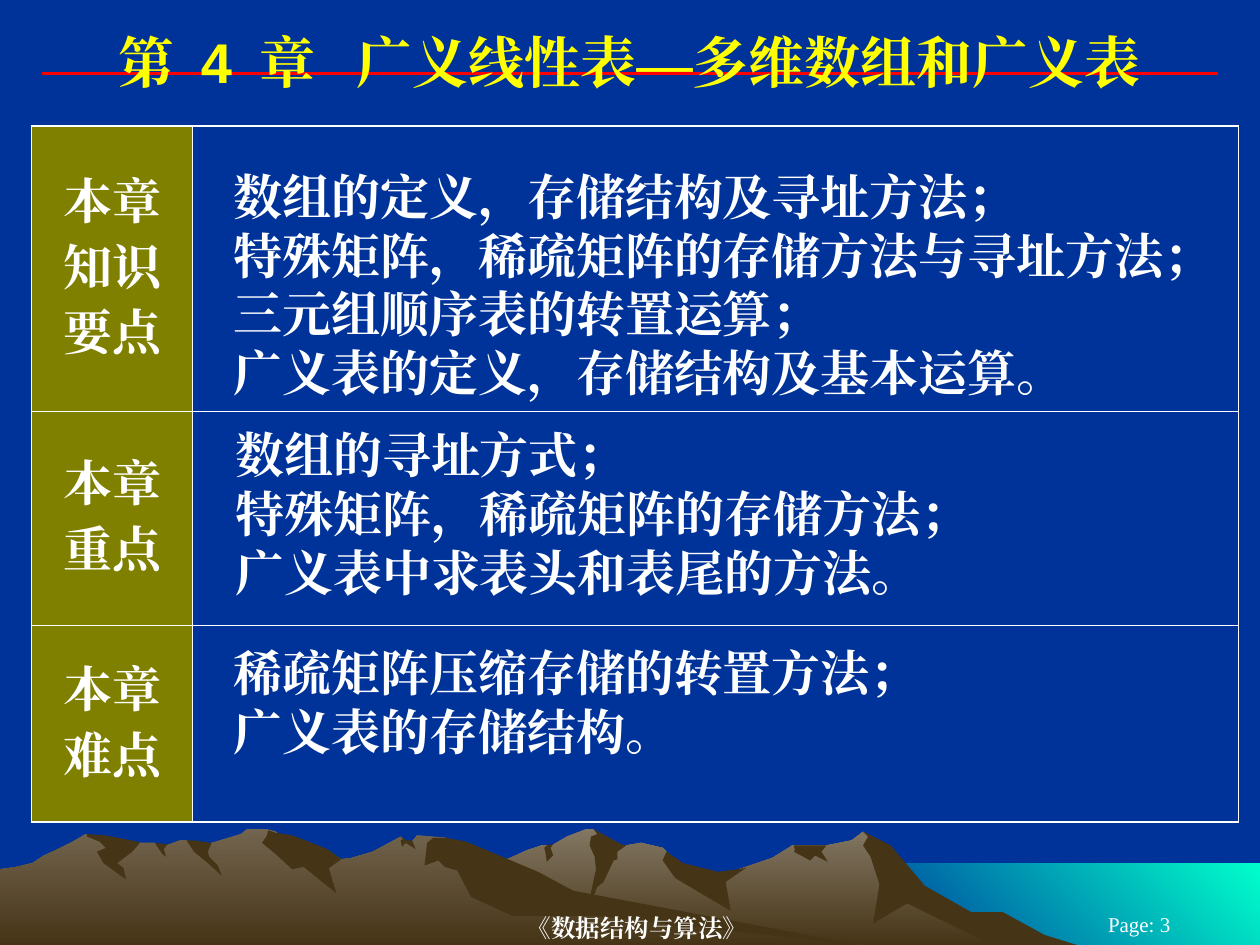
from lxml.etree import SubElement
from pptx import Presentation
from pptx.dml.color import RGBColor
from pptx.enum.shapes import MSO_CONNECTOR
from pptx.enum.text import MSO_ANCHOR, MSO_AUTO_SIZE, PP_ALIGN
from pptx.oxml.ns import qn
from pptx.util import Pt

NAVY = RGBColor(0x00, 0x33, 0x99)
AQUA = RGBColor(0x00, 0xFF, 0xCC)
OLIVE = RGBColor(0x80, 0x80, 0x00)
WHITE = RGBColor(0xFF, 0xFF, 0xFF)
YELLOW = RGBColor(0xFF, 0xFF, 0x00)
RED = RGBColor(0xFF, 0x00, 0x00)
DARK_ROCK = RGBColor(0x46, 0x34, 0x16)
LIGHT_ROCK = RGBColor(0x83, 0x77, 0x63)
MID_ROCK = RGBColor(0x72, 0x64, 0x4E)

# Outline points are in hundredths of an inch
OUTLINE_UNIT = Pt(0.72)
SEA = [(1000, 752), (683, 752), (683, 685), (1000, 685)]
RIGHT_RANGE = [
    (802, 740), (778, 727), (764, 723), (723, 698), (702, 671), (685, 660),
    (676, 667), (656, 671), (629, 671), (613, 681), (566, 697), (536, 690),
    (529, 676), (526, 673), (509, 669), (497, 671), (486, 673), (474, 661),
    (471, 658), (465, 658), (450, 664), (438, 671), (430, 671), (418, 675),
    (405, 681), (394, 685), (355, 698), (327, 709), (277, 739), (258, 751),
    (821, 751)]
LEFT_RANGE = [
    (690, 751), (667, 748), (432, 712), (354, 665), (331, 663), (327, 668),
    (323, 668), (318, 664), (296, 676), (279, 681), (271, 682), (260, 676),
    (236, 681), (223, 663), (219, 660), (212, 658), (196, 658), (191, 662),
    (178, 666), (168, 669), (160, 671), (148, 667), (143, 667), (132, 671),
    (128, 671), (123, 669), (111, 669), (94, 671), (68, 662), (56, 669),
    (46, 674), (35, 679), (26, 685), (14, 688), (0, 690), (0, 751)]
RIGHT_SHADOWS = [
    [(796, 724), (771, 724), (734, 703), (707, 671), (685, 660), (689, 664),
     (685, 671), (691, 680), (698, 702), (693, 733), (720, 717), (792, 752),
     (858, 751), (829, 742)],
    [(471, 658), (474, 662), (469, 664), (468, 671), (472, 680), (473, 690),
     (465, 727), (474, 704), (479, 700), (487, 683), (490, 682), (490, 676),
     (497, 671), (493, 670)],
    [(529, 676), (526, 683), (536, 697), (580, 723), (576, 700), (592, 689),
     (570, 692), (542, 685)],
    [(650, 671), (630, 671), (631, 675), (630, 676), (643, 683), (647, 679),
     (657, 684), (652, 676), (656, 671)],
    [(433, 677), (432, 673), (434, 671), (439, 670), (437, 673), (439, 679),
     (434, 684)],
]
LEFT_SHADOWS = [
    [(212, 663), (208, 669), (219, 678), (232, 690), (241, 688), (267, 709),
     (261, 689), (271, 682), (260, 674), (245, 668), (232, 663), (219, 661),
     (213, 659)],
    [(370, 668), (354, 665), (344, 665), (339, 669), (337, 687), (348, 683),
     (353, 688), (363, 691), (374, 712), (407, 727), (472, 727), (690, 751),
     (683, 750), (455, 707), (427, 692), (401, 681)],
    [(318, 667), (320, 666), (318, 664), (323, 667), (327, 667), (330, 674),
     (322, 669), (319, 672)],
    [(154, 667), (161, 668), (168, 669), (165, 676), (166, 680), (173, 687),
     (176, 695), (165, 685), (154, 676), (148, 667)],
    [(133, 670), (130, 674), (132, 680), (129, 678), (123, 669)],
    [(109, 668), (111, 669), (105, 676), (93, 685), (98, 689), (100, 698),
     (82, 685), (77, 676), (84, 673), (79, 668), (69, 664), (69, 662),
     (83, 663), (94, 665)],
]

# Title words, each with the extra width in points of the space after it
TITLE = [("第", 7), ("4", 7), ("章", 15), ("广义线性表—多维数组和广义表", 0)]
LABELS = [["本章", "知识", "要点"], ["本章", "重点"], ["本章", "难点"]]
BODIES = [
    (132, 94.3, 564, 136, [
        "数组的定义，存储结构及寻址方法；",
        "特殊矩阵，稀疏矩阵的存储方法与寻址方法；",
        "三元组顺序表的转置运算；",
        "广义表的定义，存储结构及基本运算。"]),
    (133, 242, 544, 102, [
        "数组的寻址方式；",
        "特殊矩阵，稀疏矩阵的存储方法；",
        "广义表中求表头和表尾的方法。"]),
    (132, 366.5, 558, 69, [
        "稀疏矩阵压缩存储的转置方法；",
        "广义表的存储结构。"]),
]


def add_outline(slide, points, start_color, end_color=None, angle=270):
    builder = slide.shapes.build_freeform(*points[0], scale=OUTLINE_UNIT)
    builder.add_line_segments(points[1:], close=True)
    shape = builder.convert_to_shape()
    shape.shadow.inherit = False
    shape.line.fill.background()
    if end_color is None:
        shape.fill.solid()
        shape.fill.fore_color.rgb = start_color
        return
    shape.fill.gradient()
    shape.fill.gradient_angle = angle
    for stop, color, position in zip(shape.fill.gradient_stops,
                                     (start_color, end_color), (0, 1)):
        stop.color.rgb = color
        stop.position = position


def style(paragraph, size, color=WHITE, name="Arial", bold=True, align=None):
    paragraph.alignment = align
    font = paragraph.font
    font.size, font.name, font.bold = Pt(size), name, bold
    font.color.rgb = color
    for run in paragraph.runs:
        SubElement(run.font._element, qn("a:ea"), typeface="Times New Roman")


def add_text(slide, left, top, width, height, lines, size,
             anchor=MSO_ANCHOR.TOP, **look):
    box = slide.shapes.add_textbox(Pt(left), Pt(top), Pt(width), Pt(height))
    frame = box.text_frame
    frame.word_wrap = True
    frame.auto_size = MSO_AUTO_SIZE.NONE
    frame.vertical_anchor = anchor
    frame.margin_left = frame.margin_right = Pt(1.5)
    frame.margin_top = frame.margin_bottom = Pt(0.7)
    frame.text = "\n".join(lines)
    for paragraph in frame.paragraphs:
        style(paragraph, size, **look)
    return frame


def add_title(slide):
    frame = add_text(slide, 0, 15, 720, 40, [""], 32)
    paragraph = frame.paragraphs[0]
    for word, gap in TITLE:
        paragraph.add_run().text = word
        if gap:
            space = paragraph.add_run()
            space.text = " "
            space.font._element.set("spc", str(gap * 100))
    style(paragraph, 32, YELLOW, align=PP_ALIGN.CENTER)


def set_border(cell, side, width):
    properties = cell._tc.get_or_add_tcPr()
    line = SubElement(properties, qn(f"a:ln{side}"), w=str(Pt(width)))
    fill = SubElement(line, qn("a:solidFill"))
    SubElement(fill, qn("a:srgbClr"), val=str(WHITE))


def add_summary_table(slide):
    widths, heights = (92.2, 597.6), (162.8, 122.4, 112.6)
    table = slide.shapes.add_table(3, 2, Pt(18), Pt(72), Pt(sum(widths)),
                                   Pt(sum(heights))).table
    table.first_row = table.horz_banding = False
    for column, width in zip(table.columns, widths):
        column.width = Pt(width)
    for i, (row, height) in enumerate(zip(table.rows, heights)):
        row.height = Pt(height)
        for j, cell in enumerate(row.cells):
            outer = {"L": j == 0, "R": j == 1, "T": i == 0, "B": i == 2}
            for side, is_outer in outer.items():
                set_border(cell, side, 1.08 if is_outer else 0.45)
            cell.fill.background()
        label = row.cells[0]
        label.fill.solid()
        label.fill.fore_color.rgb = OLIVE
        label.vertical_anchor = MSO_ANCHOR.MIDDLE
        label.text = "\n".join(LABELS[i])
        for k, paragraph in enumerate(label.text_frame.paragraphs):
            style(paragraph, 28, align=PP_ALIGN.CENTER)
            if k:
                paragraph.space_before = Pt(6.7)


def add_rule(slide):
    rule = slide.shapes.add_connector(MSO_CONNECTOR.STRAIGHT,
                                      Pt(24), Pt(42), Pt(696), Pt(42))
    rule.line.color.rgb = RED
    rule.line.width = Pt(2.25)
    SubElement(rule._element.spPr, qn("a:effectLst"))


def main():
    presentation = Presentation()
    presentation.slide_width, presentation.slide_height = Pt(720), Pt(540)
    slide = presentation.slides.add_slide(presentation.slide_layouts[6])
    slide.background.fill.solid()
    slide.background.fill.fore_color.rgb = NAVY

    # Sea and mountains along the bottom
    add_outline(slide, SEA, AQUA, NAVY, angle=225)
    for mountains, color, shadows in ((RIGHT_RANGE, LIGHT_ROCK, RIGHT_SHADOWS),
                                      (LEFT_RANGE, MID_ROCK, LEFT_SHADOWS)):
        add_outline(slide, mountains, color, DARK_ROCK)
        for shadow in shadows:
            add_outline(slide, shadow, DARK_ROCK)

    # Rule and footer
    add_rule(slide)
    footer = dict(anchor=MSO_ANCHOR.MIDDLE, name="Times New Roman",
                  align=PP_ALIGN.CENTER)
    add_text(slide, 146, 520, 436, 20, ["《数据结构与算法》"], 14, **footer)
    add_text(slide, 594, 522, 114, 12, ["Page: 3"], 12, bold=False, **footer)

    # Chapter summary
    add_summary_table(slide)
    add_title(slide)
    for left, top, width, height, lines in BODIES:
        add_text(slide, left, top, width, height, lines, 28)

    presentation.save("out.pptx")


if __name__ == "__main__":
    main()
